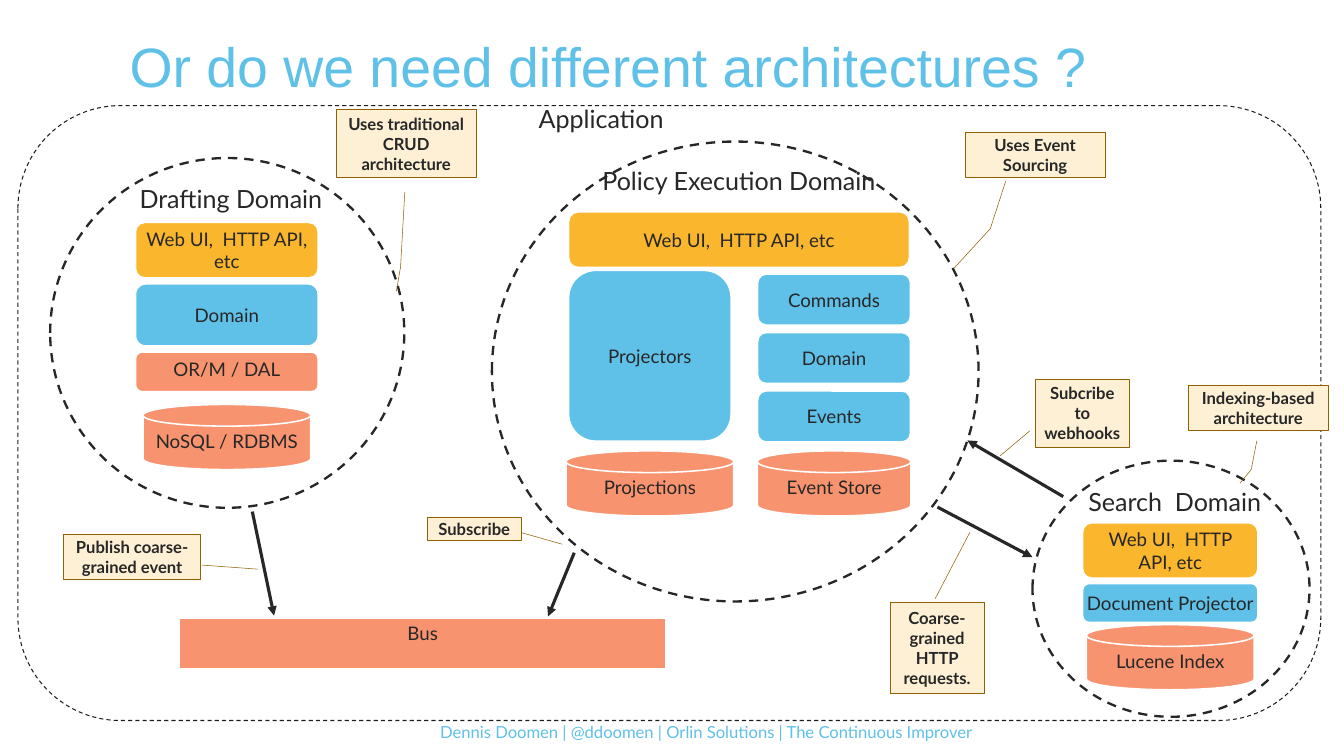
import pptx
import pptx.util
import pptx.dml.color
import pptx.enum.dml
import pptx.enum.shapes
import pptx.enum.text
import pptx.oxml.ns
from lxml import etree
from dataclasses import dataclass

Inches, Pt = pptx.util.Inches, pptx.util.Pt
SHAPE = pptx.enum.shapes.MSO_SHAPE
ALIGN = pptx.enum.text.PP_ALIGN
ANCHOR = pptx.enum.text.MSO_ANCHOR
FIT = pptx.enum.text.MSO_AUTO_SIZE


@dataclass(frozen=True)
class Theme:
    ink: str = "272727"
    frame: str = "1D1D1D"
    accent: str = "5FC1E8"
    edge: str = "FFFFFF"
    note: str = "FEF0D5"
    note_edge: str = "906103"
    title_font: str = "Arial"
    font: str = "Lato"
    title: float = 53.3
    heading: float = 24.1
    body: float = 18
    small: float = 16


THEME = Theme()
# Layer role: fill, vertical anchor, inset-free
ROLES = {
    "ui": ("FAB62C", ANCHOR.MIDDLE, False),
    "logic": (THEME.accent, ANCHOR.MIDDLE, True),
    "data": ("F7936F", ANCHOR.TOP, False),
}

# Content
TITLE = "Or do we need different architectures ?"
FOOTER = "Dennis Doomen | @ddoomen | Orlin Solutions | The Continuous Improver"
WEB = "Web UI,  HTTP API, etc"

# Name, circle box, top of the name
DOMAINS = [
    ("Policy Execution Domain", (6.57, 1.89, 6.5, 6.14), 2.16),
    ("Drafting Domain", (0.67, 2.11, 4.73, 4.67), 2.4),
    ("Search  Domain", (13.79, 6.15, 3.7, 3.42), 6.45),
]

# Column: centre, top, width, gap, layers (role, text, height), store (text, top, width)
COLUMNS = [
    (3.03, 2.97, 2.44, 0.08,
     [("ui", WEB, 0.74), ("logic", "Domain", 0.83), ("data", "OR/M / DAL", 0.53)],
     ("NoSQL / RDBMS", 5.4, 2.24)),
    (15.63, 6.98, 2.34, 0.07,
     [("ui", WEB, 0.74), ("logic", "Document Projector", 0.52)],
     ("Lucene Index", 8.34, 2.24)),
    (9.87, 2.83, 4.55, 0, [("ui", WEB, 0.74)], None),
    (11.14, 3.66, 2.04, 0.1,
     [("logic", name, 0.68) for name in ("Commands", "Domain", "Events")],
     ("Event Store", 6.02, 2.05)),
    (8.68, 3.61, 2.17, 0, [("logic", "Projectors", 2.28)],
     ("Projections", 6.02, 2.24)),
]
STORE_HEIGHT = 0.87
BUS = ("Bus", (2.4, 8.25, 6.49, 0.68))

# Message flow: start, end
FLOWS = [
    ((14.2, 6.63), (12.92, 5.88)),
    ((12.52, 6.77), (13.79, 7.44)),
    ((3.37, 6.83), (3.66, 8.22)),
    ((7.67, 7.38), (7.32, 8.23)),
]

# Note: paragraphs, box, pointer as (y, x) shares of the box
NOTES = [
    (["Uses Event Sourcing"], (12.89, 1.76, 1.87, 0.61),
     [(1.08, 0.29), (2.12, 0.18), (2.99, -0.08)]),
    (["Uses traditional CRUD architecture"], (4.49, 1.46, 1.87, 0.91),
     [(1.22, 0.49), (2.31, 0.46), (2.67, 0.43)]),
    (["Indexing-based architecture"], (15.87, 5.14, 1.87, 0.61),
     [(1.22, 0.49), (1.85, 0.45), (2.15, 0.37)]),
    (["Subcribe", "to webhooks"], (13.83, 5.06, 1.25, 0.91),
     [(0.76, -0.06), (1.13, -0.38)]),
    (["Coarse-grained HTTP requests."], (11.89, 8.04, 1.25, 1.21),
     [(-0.04, 0.48), (-0.77, 0.85)]),
    (["Subscribe"], (5.71, 6.91, 1.25, 0.3), [(0.68, 1.01), (1.19, 1.44)]),
    (["Publish coarse-grained event"], (0.85, 7.13, 1.83, 0.61),
     [(0.68, 1.01), (0.77, 1.42)]),
]


def rgb(value):
    return pptx.dml.color.RGBColor.from_string(value)


def write(shape, paragraphs, size, color=THEME.ink, font=THEME.font, bold=False,
          align=ALIGN.CENTER, anchor=ANCHOR.TOP, indent=0, spacing=None):
    frame = shape.text_frame
    frame.word_wrap = True
    frame.vertical_anchor = anchor
    for i, words in enumerate(paragraphs):
        paragraph = frame.add_paragraph() if i else frame.paragraphs[0]
        paragraph.alignment = align
        paragraph.line_spacing = spacing
        if indent:
            props = paragraph._p.get_or_add_pPr()
            props.set("marL", str(Inches(indent)))
            props.set("indent", "0")
        run = paragraph.add_run()
        run.text = words
        run.font.size, run.font.name, run.font.bold = Pt(size), font, bold
        run.font.color.rgb = rgb(color)
    return frame


def draw(slide, kind, box, fill, line, width, dashed=False):
    shape = slide.shapes.add_shape(kind, *map(Inches, box))
    shape.shadow.inherit = False
    if fill:
        shape.fill.solid()
        shape.fill.fore_color.rgb = rgb(fill)
    else:
        shape.fill.background()
    shape.line.color.rgb = rgb(line)
    shape.line.width = Pt(width)
    if dashed:
        shape.line.dash_style = pptx.enum.dml.MSO_LINE.DASH
    return shape


def label(slide, words, box, size, **style):
    return write(slide.shapes.add_textbox(*map(Inches, box)), [words], size, **style)


def block(slide, kind, role, words, box):
    fill, anchor, tight = ROLES[role]
    shape = draw(slide, kind, box, fill, THEME.edge, 1.5)
    frame = write(shape, [words], THEME.body, anchor=anchor)
    if tight:
        frame.margin_left = frame.margin_right = 0
        frame.margin_top = frame.margin_bottom = 0


def arrow(slide, start, end):
    line = slide.shapes.add_connector(
        pptx.enum.shapes.MSO_CONNECTOR.STRAIGHT, *map(Inches, start + end))
    line.line.color.rgb = rgb(THEME.ink)
    line.line.width = Pt(3)
    qn = pptx.oxml.ns.qn
    etree.SubElement(line.line._get_or_add_ln(), qn("a:tailEnd"), type="triangle")
    etree.SubElement(line._element.spPr, qn("a:effectLst"))


def main():
    deck = pptx.Presentation()
    deck.slide_width, deck.slide_height = Inches(17.95), Inches(10)
    slide = deck.slides.add_slide(deck.slide_layouts[5])

    # Title and footer
    title = slide.shapes.title
    title.left, title.top, title.width, title.height = map(
        Inches, (1.23, -0.04, 15.48, 1.93))
    write(title, [TITLE], THEME.title, THEME.accent, THEME.title_font,
          align=ALIGN.LEFT, anchor=ANCHOR.MIDDLE, indent=0.4,
          spacing=0.9).auto_size = FIT.NONE
    label(slide, FOOTER, (1.5, 9.62, 15.47, 0.34), THEME.small,
          color=THEME.accent, indent=0.4, spacing=0.9)

    # Application frame
    draw(slide, SHAPE.ROUNDED_RECTANGLE, (0.24, 1.41, 17.4, 8.21),
         None, THEME.frame, 1, dashed=True)
    label(slide, "Application", (7.08, 1.33, 1.9, 0.51), THEME.heading)

    # Domain circles
    for name, circle, name_top in DOMAINS:
        draw(slide, SHAPE.OVAL, circle, None, THEME.ink, 2.25, dashed=True)
        label(slide, name, (circle[0] + 0.05, name_top, circle[2], 0.51), THEME.heading)

    # Stacked layers, each column closed by its store
    for centre, top, width, gap, layers, store in COLUMNS:
        for role, words, height in layers:
            block(slide, SHAPE.FLOWCHART_ALTERNATE_PROCESS, role, words,
                  (centre - width / 2, top, width, height))
            top += height + gap
        if store:
            words, store_top, store_width = store
            block(slide, SHAPE.FLOWCHART_MAGNETIC_DISK, "data", words,
                  (centre - store_width / 2, store_top, store_width, STORE_HEIGHT))

    # Bus and message flows
    block(slide, SHAPE.RECTANGLE, "data", *BUS)
    for start, end in FLOWS:
        arrow(slide, start, end)

    # Notes with pointers
    for paragraphs, box, pointer in NOTES:
        kind = SHAPE.LINE_CALLOUT_2 if len(pointer) == 3 else SHAPE.LINE_CALLOUT_1
        note = draw(slide, kind, box, THEME.note, THEME.note_edge, 0.5)
        for i, share in enumerate(sum(pointer, ())):
            note.adjustments[i] = share
        write(note, paragraphs, THEME.small, bold=True,
              anchor=ANCHOR.MIDDLE).auto_size = FIT.SHAPE_TO_FIT_TEXT

    deck.save("out.pptx")


if __name__ == "__main__":
    main()
